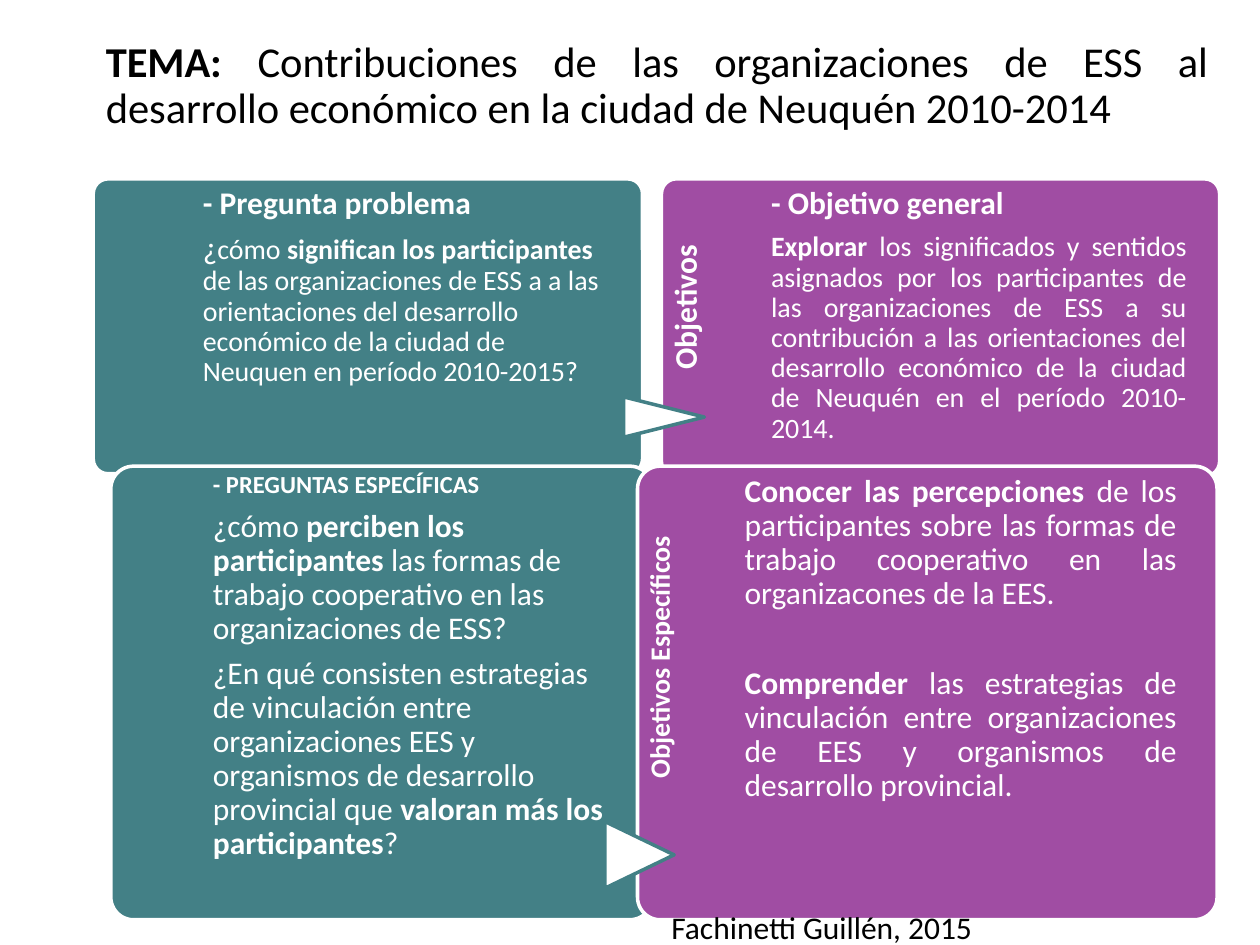
from pptx import Presentation
from pptx.dml.color import RGBColor
from pptx.enum import shapes, text
from pptx.util import Inches, Pt

TEAL, PURPLE, WHITE, BLACK = "438086", "A04DA3", "FFFFFF", "000000"
LEFT, CENTER, JUSTIFY = text.PP_ALIGN.LEFT, text.PP_ALIGN.CENTER, text.PP_ALIGN.JUSTIFY
GAP = 6.3
rgb = RGBColor.from_string


def add_shape(group, kind, box, fill, line, rotation=0):
    sp = group.shapes.add_shape(kind, *map(Inches, box))
    sp.shadow.inherit = False
    sp.fill.solid()
    sp.fill.fore_color.rgb = rgb(fill)
    sp.line.color.rgb = rgb(line)
    sp.line.width = Pt(2)
    sp.rotation = rotation
    return sp


def write(tf, paragraphs, color, spacing=0.9):
    """Each paragraph is (alignment, space after, [(text, size, bold), ...])."""
    tf.word_wrap = True
    tf.auto_size = text.MSO_AUTO_SIZE.NONE
    for i, (align, after, runs) in enumerate(paragraphs):
        p = tf.paragraphs[0] if i == 0 else tf.add_paragraph()
        p.alignment = align
        p.line_spacing = spacing
        p.space_before, p.space_after = Pt(0), Pt(after)
        for words, size, bold in runs:
            r = p.add_run()
            r.text = words
            r.font.name, r.font.size, r.font.bold = "Calibri", Pt(size), bold
            r.font.color.rgb = rgb(color)


prs = Presentation()
prs.slide_width, prs.slide_height = Inches(10), Inches(7.5)
s = prs.slides.add_slide(prs.slide_layouts[5])

# Title
title = s.shapes.title
title.left, title.top, title.width, title.height = map(Inches, (0.74, 0.29, 8.95, 0.79))
title.text_frame.vertical_anchor = text.MSO_ANCHOR.MIDDLE
write(title.text_frame, [(JUSTIFY, 0, [
    ("TEMA: ", 24.3, True),
    ("Contribuciones de las organizaciones de ESS al desarrollo económico "
     "en la ciudad de Neuquén 2010-2014", 24.3, False)])], BLACK)

# Wording of the four panels
question = [
    (LEFT, GAP, [("- Pregunta problema", 18, True)]),
    (LEFT, GAP, [
        ("¿", 18, False), ("cómo ", 16, False),
        ("significan los participantes ", 16, True),
        ("de las organizaciones de ESS a a las orientaciones del desarrollo económico "
         "de la ciudad de Neuquen en período 2010-2015?", 16, False)]),
]
goal = [
    (LEFT, GAP, [("- Objetivo general", 18, True)]),
    (JUSTIFY, GAP, [
        ("Explorar", 16, True),
        (" los significados y sentidos asignados por los participantes de "
         "las organizaciones de ESS a su contribución a las orientaciones del "
         "desarrollo económico de la ciudad de Neuquén en el período 2010-2014.", 16, False)]),
]
specific_questions = [
    (LEFT, GAP, [("- PREGUNTAS ESPECÍFICAS", 14, True)]),
    (LEFT, GAP, [
        ("¿cómo ", 18, False), ("perciben los participantes ", 18, True),
        ("las formas de trabajo cooperativo en las organizaciones de ESS?", 18, False)]),
    (LEFT, GAP, [
        ("¿En qué consisten estrategias de vinculación entre organizaciones EES y "
         "organismos de desarrollo provincial que ", 18, False),
        ("valoran más los participantes", 18, True), ("?", 18, False)]),
]
specific_goals = [
    (JUSTIFY, 32, [
        ("Conocer las percepciones ", 18, True),
        ("de los participantes sobre las formas de trabajo cooperativo "
         "en las organizacones de la EES.", 18, False)]),
    (JUSTIFY, GAP, [
        ("Comprender", 18, True),
        (" las estrategias de vinculación entre organizaciones de EES y "
         "organismos de desarrollo provincial.", 18, False)]),
]

# Rows: panels (box, fill, text left, text width, wording), side label, arrow
rows = [
    ([((0.74, 1.42, 4.36, 2.34), TEAL, 1.61, 3.25, question),
      ((5.25, 1.42, 4.43, 2.36), PURPLE, 6.12, 3.3, goal)],
     ((4.72, 1.95, 1.94, 0.89), "Objetivos", 18),
     (5.11, 2.99, 0.32, 0.64)),
    ([((0.88, 3.7, 4.3, 3.6), TEAL, 1.69, 3.2, specific_questions),
      ((5.06, 3.7, 4.6, 3.6), PURPLE, 5.91, 3.43, specific_goals)],
     ((4.04, 4.71, 2.95, 0.92), "Objetivos Específicos", 16),
     (4.81, 6.51, 0.53, 0.55)),
]
for panels, (label_box, label, label_size), arrow_box in rows:
    group = s.shapes.add_group_shape()
    for box, fill, left, width, wording in panels:
        panel = add_shape(group, shapes.MSO_SHAPE.ROUNDED_RECTANGLE, box, fill, WHITE)
        panel.adjustments[0] = 0.05
        tb = group.shapes.add_textbox(*map(Inches, (left, box[1], width, box[3])))
        tf = tb.text_frame
        tf.margin_left = tf.margin_right = tf.margin_bottom = 0
        tf.margin_top = Inches(0.05 if wording is specific_questions else 0.07)
        write(tf, wording, WHITE)

    # Side label, read upwards
    tb = group.shapes.add_textbox(*map(Inches, label_box))
    tb.rotation = 270
    tf = tb.text_frame
    tf.margin_left = tf.margin_bottom = 0
    tf.margin_top, tf.margin_right = Inches(0.07), Inches(0.09)
    write(tf, [(CENTER, GAP, [(label, label_size, True)])], WHITE)

    # Arrow from question to goal
    add_shape(group, shapes.MSO_SHAPE.FLOWCHART_EXTRACT, arrow_box, WHITE, TEAL, 90)

# Credit
credit = s.shapes.add_textbox(*map(Inches, (5.23, 7.16, 3.36, 0.4)))
write(credit.text_frame, [(LEFT, 0, [("Fachinetti Guillén, 2015", 18, False)])], BLACK, 1.0)

prs.save("out.pptx")
